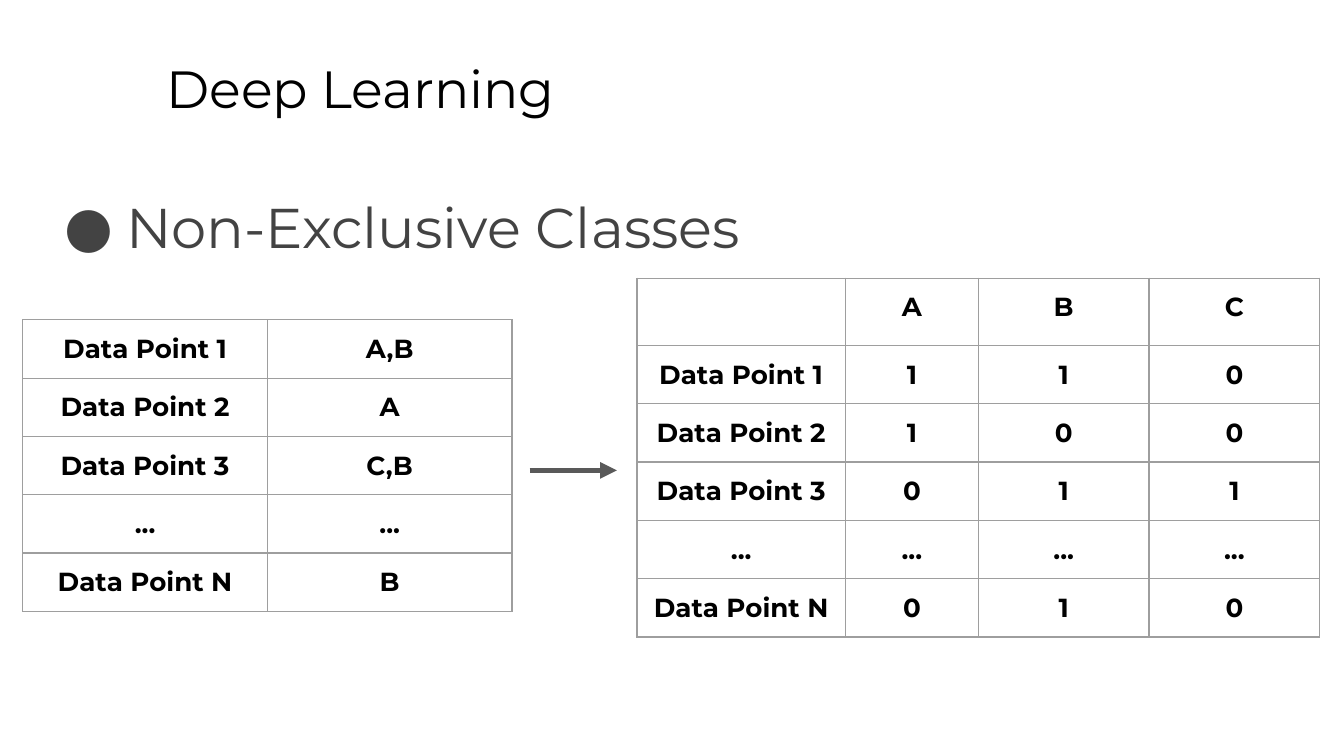
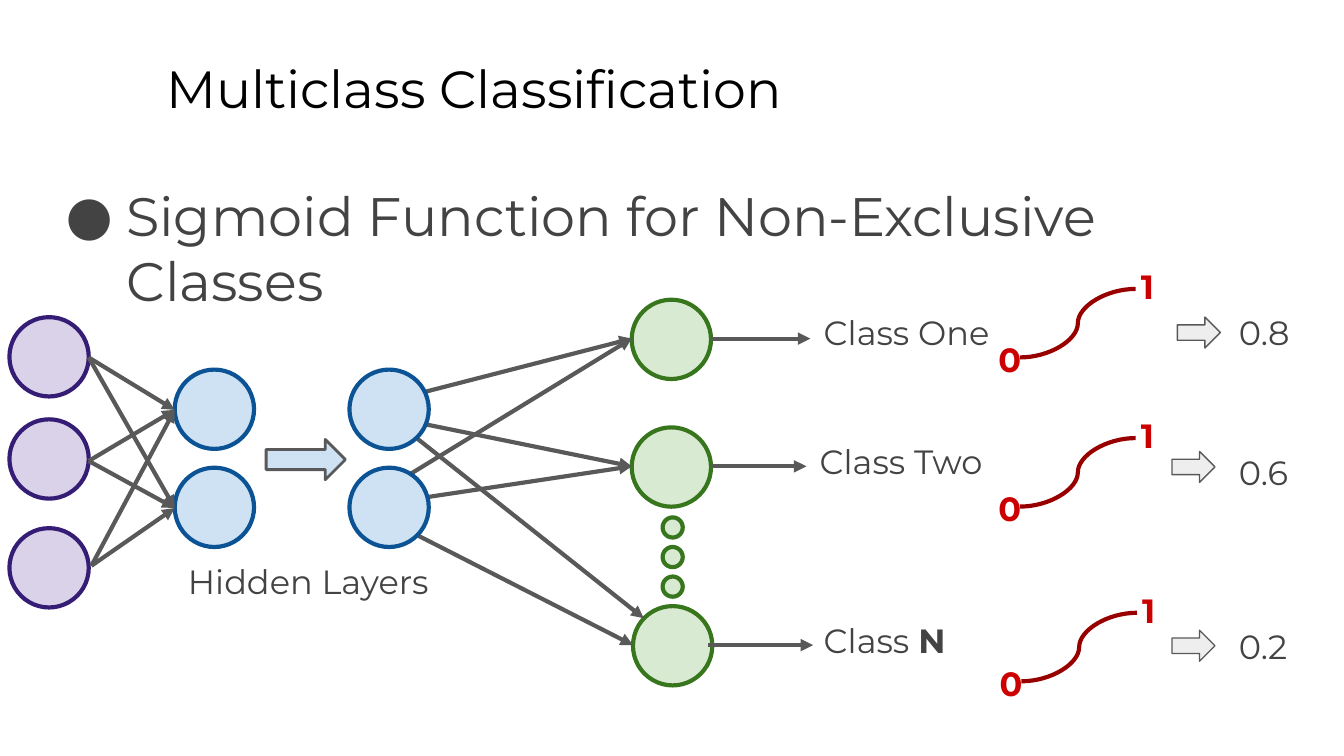
from itertools import product

from lxml import etree
from pptx import Presentation
from pptx.dml.color import RGBColor
from pptx.enum import shapes, text
from pptx.oxml import ns
from pptx.util import Inches, Pt

FONT = "Montserrat"
GRAY, BLACK, DARK = "434343", "000000", "595959"
PURPLE = ("D9D2E9", "351C75")
BLUE = ("CFE2F3", "0B5394")
GREEN = ("D9EAD3", "38761D")
NODE, DOT = 0.59, 0.15


def color(value):
    return RGBColor.from_string(value)


def add_xml(parent, tag, **attributes):
    child = etree.SubElement(parent, ns.qn(tag))
    for key, value in attributes.items():
        child.set(key, str(value))
    return child


def write(frame, runs, size=18, ink=GRAY, bold=False, align=None,
          spacing=None, after=None, bullet_indent=None):
    frame.word_wrap = True
    paragraph = frame.paragraphs[0]
    paragraph.alignment = align
    if spacing:
        paragraph.line_spacing = spacing
    if after:
        paragraph.space_after = Pt(after)
    if bullet_indent:
        properties = paragraph._p.get_or_add_pPr()
        properties.set("marL", str(Inches(0.5)))
        properties.set("indent", str(-Inches(bullet_indent)))
        add_xml(add_xml(properties, "a:buClr"), "a:srgbClr", val=ink)
        add_xml(properties, "a:buFont", typeface=FONT)
        add_xml(properties, "a:buChar", char="●")
    if isinstance(runs, str):
        runs = [(runs, bold)]
    for words, heavy in runs:
        run = paragraph.add_run()
        run.text = words
        run.font.name = FONT
        run.font.size = Pt(size)
        run.font.bold = heavy
        run.font.color.rgb = color(ink)


class Deck:
    def __init__(self):
        self.presentation = Presentation()
        self.presentation.slide_width = Inches(10)
        self.presentation.slide_height = Inches(10) * 9 // 16
        self.slide = None

    def start_slide(self, title):
        self.slide = self.presentation.slides.add_slide(self.presentation.slide_layouts[6])
        self.label(title, 1.14, 0.32, 8.52, 0.63, size=28, ink=BLACK)

    def label(self, runs, x, y, width, height, **style):
        frame = self.slide.shapes.add_textbox(*map(Inches, (x, y, width, height))).text_frame
        frame.margin_left = frame.margin_right = Inches(0.1)
        frame.margin_top = frame.margin_bottom = Inches(0.1)
        write(frame, runs, **style)

    def shape(self, kind, x, y, width, height, fill, outline, weight):
        item = self.slide.shapes.add_shape(kind, *map(Inches, (x, y, width, height)))
        item.shadow.inherit = False
        item.fill.solid()
        item.fill.fore_color.rgb = color(fill)
        item.line.color.rgb = color(outline)
        item.line.width = Pt(weight)

    def circle(self, x, y, palette, size=NODE):
        self.shape(shapes.MSO_SHAPE.OVAL, x, y, size, size, *palette, 2.25)

    def block_arrow(self, x, y, width, height, fill, weight):
        self.shape(shapes.MSO_SHAPE.RIGHT_ARROW, x, y, width, height, fill, DARK, weight)

    def line(self, start, end, ink=DARK, weight=2.25, kind=shapes.MSO_CONNECTOR.STRAIGHT,
             arrow=True):
        link = self.slide.shapes.add_connector(kind, *map(Inches, (*start, *end)))
        link.line.color.rgb = color(ink)
        link.line.width = Pt(weight)
        if arrow:
            add_xml(link.line._ln, "a:tailEnd", type="triangle")
        add_xml(link._element.spPr, "a:effectLst")

    def table(self, x, y, widths, heights, rows):
        grid = self.slide.shapes.add_table(
            len(rows), len(widths), Inches(x), Inches(y),
            Inches(sum(widths)), Inches(sum(heights))).table
        grid.first_row = grid.horz_banding = False
        for column, width in zip(grid.columns, widths):
            column.width = Inches(width)
        for row, height, words in zip(grid.rows, heights, rows):
            row.height = Inches(height)
            for cell, word in zip(row.cells, words):
                self.fill_cell(cell, word)

    def fill_cell(self, cell, word):
        cell.margin_left = cell.margin_right = Inches(0.1)
        cell.margin_top = cell.margin_bottom = Inches(0.1)
        properties = cell._tc.get_or_add_tcPr()
        for side in ("a:lnL", "a:lnR", "a:lnT", "a:lnB"):
            border = add_xml(properties, side, w=Pt(0.75))
            add_xml(add_xml(border, "a:solidFill"), "a:srgbClr", val="9E9E9E")
        cell.fill.background()
        write(cell.text_frame, word, size=14, ink=BLACK, bold=True,
              align=text.PP_ALIGN.CENTER)

    def sigmoid(self, x, y):
        self.line((x, y + 0.51), (x + 0.86, y), ink="980000",
                  kind=shapes.MSO_CONNECTOR.CURVE, arrow=False)
        for digit, dx, dy in (("0", -0.26, 0.27), ("1", 0.8, -0.27)):
            self.label(digit, x + dx, y + dy, 0.3, 0.4, ink="CC0000", bold=True, after=16)


def build_classes(deck):
    deck.start_slide("Deep Learning")
    deck.label("Non-Exclusive Classes", 0.34, 1.26, 9.66, 3.65, size=30,
               spacing=1.15, bullet_indent=0.46)
    points = [f"Data Point {n}" for n in (1, 2, 3)] + ["...", "Data Point N"]
    encoded = ["110", "100", "011", ["..."] * 3, "010"]
    deck.table(4.74, 2.07, [1.55, 0.99, 1.27, 1.27], [0.48] + [0.42] * 5,
               [["", *"ABC"]] + [[point, *flags] for point, flags in zip(points, encoded)])
    deck.table(0.17, 2.38, [1.82] * 2, [0.42] * 5,
               list(zip(points, ["A,B", "A", "C,B", "...", "B"])))
    deck.line((3.94, 3.5), (4.59, 3.5), weight=3)


def build_network(deck):
    deck.start_slide("Multiclass Classification")
    deck.label("Sigmoid Function for Non-Exclusive Classes", 0.34, 1.26, 9.5, 0.79,
               size=29, bullet_indent=0.45)

    hidden_tops = (2.75, 3.48)
    hidden_middles = (3.05, 3.78)
    for x, y in ((4.7, 2.23), (4.7, 3.18), (4.71, 4.51)):
        deck.circle(x, y, GREEN)
    for start, end in product(hidden_middles, (2.52, 3.47)):
        deck.line((2.64, start), (4.7, end))
    deck.line((3.1, 3.26), (4.79, 4.6))
    deck.line((3.1, 3.98), (4.71, 4.8))
    for start, end, y in ((5.29, 6.03, 2.52), (5.29, 6, 3.47), (5.27, 6.05, 4.8)):
        deck.line((start, y), (end, y))

    for x, y in product((2.6, 1.3), hidden_tops):
        deck.circle(x, y, BLUE)
    for y in (2.36, 3.12, 3.93):
        deck.circle(0.07, y, PURPLE)
    for start, end in product(((0.66, 2.66), (0.66, 3.43), (0.68, 4.21)), hidden_middles):
        deck.line(start, (1.3, end))
    deck.block_arrow(1.98, 3.27, NODE, 0.3, BLUE[0], 1.5)
    deck.label("Hidden Layers", 1.3, 4.07, 2.14, 0.59, after=16)
    for step in range(3):
        deck.circle(4.93, 3.85 + 0.22 * step, GREEN, DOT)

    outputs = (
        ("Class One", (6.03, 2.22), (7.59, 2.15), (8.76, 2.36), "0.8", 2.22),
        ("Class Two", (6, 3.18), (7.59, 3.26), (8.72, 3.36), "0.6", 3.26),
        ([("Class ", False), ("N", True)], (6.03, 4.51), (7.6, 4.56), (8.72, 4.69), "0.2", 4.56),
    )
    for name, name_at, curve_at, arrow_at, score, score_top in outputs:
        deck.label(name, *name_at, 2.14, 0.59, after=16)
        deck.sigmoid(*curve_at)
        deck.block_arrow(*arrow_at, 0.32, 0.23, "EEEEEE", 0.75)
        deck.label(score, 9.12, score_top, 0.72, 0.51, after=16)


def main():
    deck = Deck()
    build_classes(deck)
    build_network(deck)
    deck.presentation.save("out.pptx")


if __name__ == "__main__":
    main()
